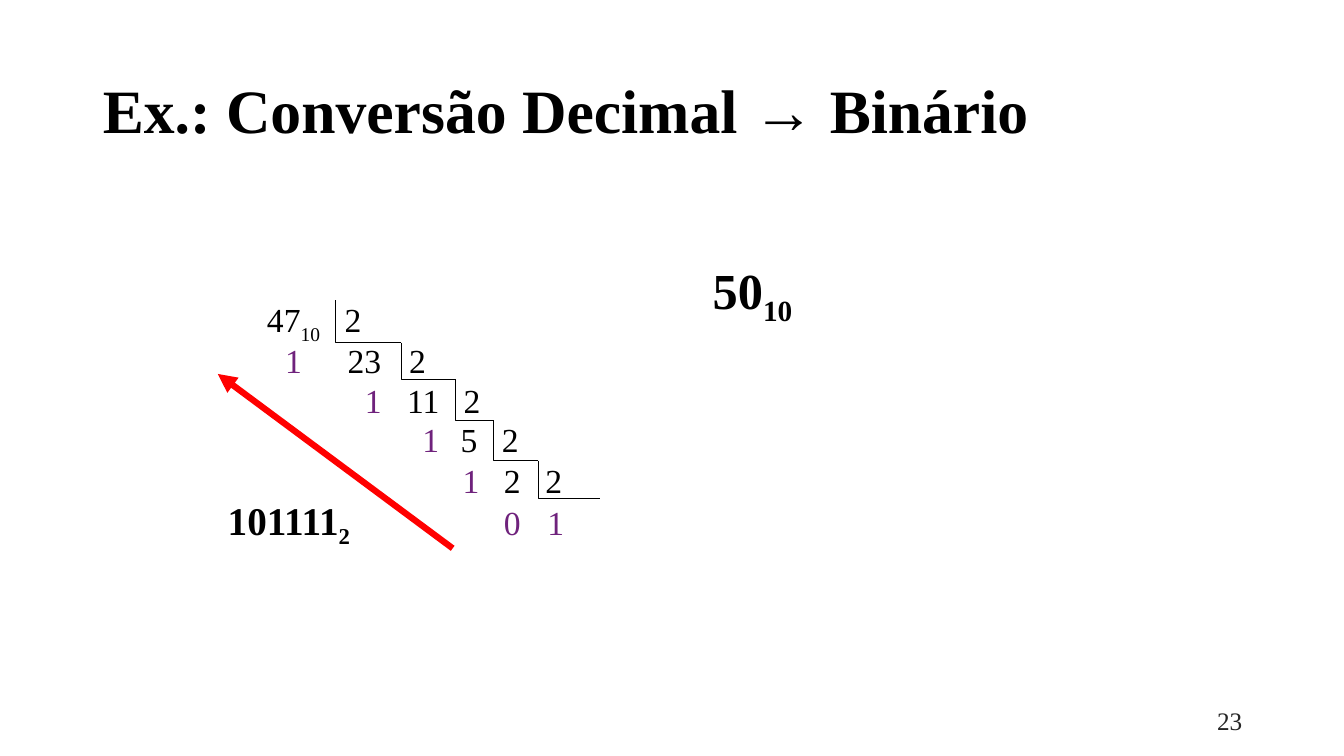
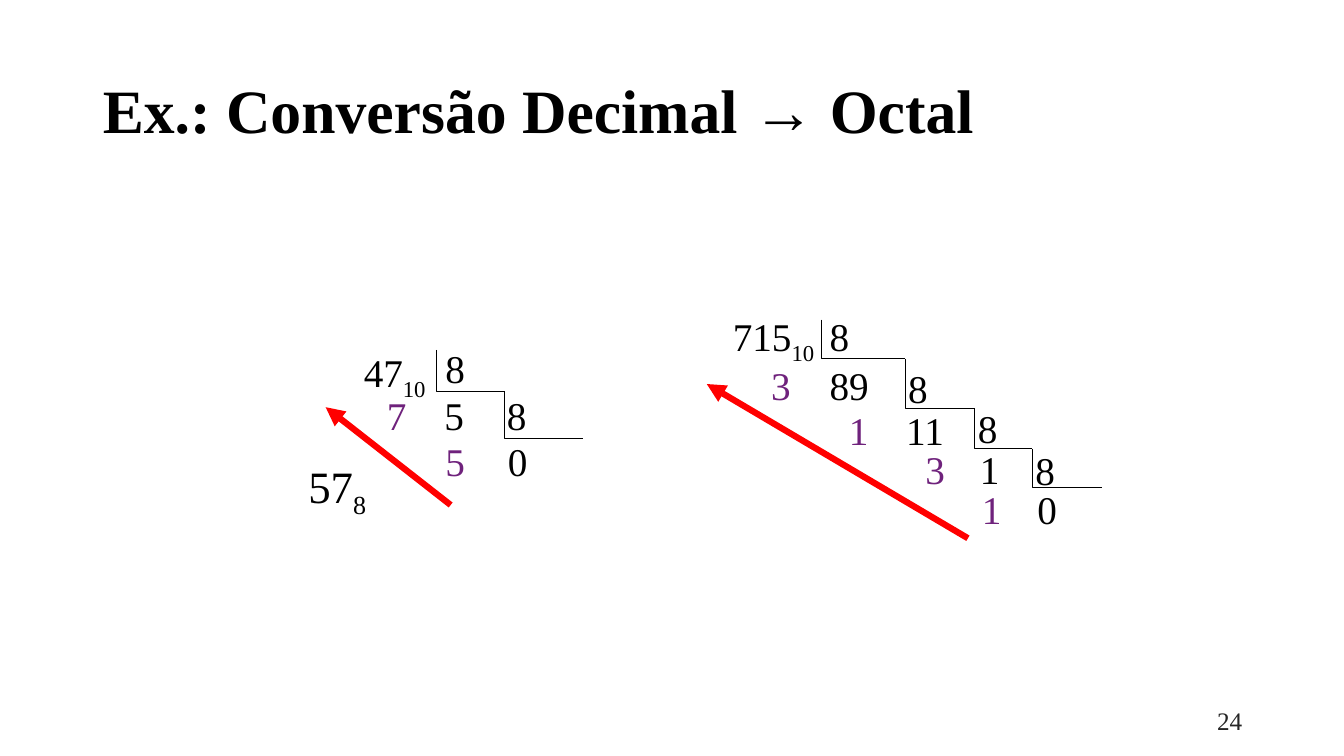
"""Build two slides of worked base conversions by repeated division."""
from dataclasses import dataclass

import lxml.etree
import pptx
import pptx.dml.color
import pptx.enum.shapes
import pptx.enum.text
import pptx.oxml
import pptx.oxml.ns
import pptx.util

PX = 9144
FONT = "Times New Roman"
BLACK, GREY, PURPLE, RED = "000000", "262626", "6F227C", "FF0000"
Point = tuple[int, int]


@dataclass(frozen=True)
class Label:
    x: int
    y: int
    text: str
    sub: str = ""
    color: str = BLACK
    w: int = 97


@dataclass(frozen=True)
class Result:
    label: Label
    size: int
    bold: bool = True
    wrap: bool = False


@dataclass(frozen=True)
class Division:
    size: int
    labels: list[Label]
    stairs: list[Point]
    arrow: tuple[Point, Point]


@dataclass(frozen=True)
class Page:
    number: str
    title: str
    divisions: list[Division]
    results: list[Result]


def remainder(x: int, y: int, text: str, w: int = 97) -> Label:
    return Label(x, y, text, color=PURPLE, w=w)


PAGES = [
    Page(
        "23",
        "Ex.: Conversão Decimal → Binário",
        [Division(
            24,
            [
                Label(255, 292, "47", "10"), Label(332, 292, "2"),
                remainder(273, 332, "1"), Label(335, 332, "23"), Label(396, 332, "2"),
                remainder(352, 372, "1"), Label(394, 372, "11"), Label(450, 372, "2"),
                remainder(409, 411, "1"), Label(447, 411, "5"), Label(488, 411, "2"),
                remainder(449, 451, "1"), Label(490, 451, "2"), Label(531, 451, "2"),
                remainder(490, 493, "0"), remainder(533, 493, "1"),
            ],
            [(333, 298), (398, 340), (452, 377), (489, 417), (534, 457), (595, 495)],
            ((449, 544), (216, 371)),
        )],
        [
            Result(Label(697, 252, "50", "10", w=136), 36, wrap=True),
            Result(Label(216, 487, "101111", "2", w=145), 28),
        ],
    ),
    Page(
        "24",
        "Ex.: Conversão Decimal → Octal",
        [
            Division(
                28,
                [
                    Label(351, 341, "47", "10"), Label(432, 337, "8"),
                    remainder(374, 383, "7"), Label(431, 383, "5"), Label(493, 383, "8"),
                    remainder(432, 429, "5"), Label(494, 429, "0"),
                ],
                [(433, 347), (500, 388), (578, 435)],
                ((447, 501), (323, 404)),
            ),
            Division(
                28,
                [
                    Label(717, 305, "715", "10", w=116), Label(813, 305, "8"),
                    remainder(755, 354, "3"), Label(813, 354, "89"), Label(891, 357, "8"),
                    remainder(832, 398, "1", 61), Label(889, 398, "11"), Label(960, 396, "8"),
                    remainder(908, 437, "3", 59), Label(962, 437, "1"), Label(1017, 438, "8"),
                    remainder(964, 477, "1", 59), Label(1019, 477, "0"),
                ],
                [(815, 317), (898, 356), (967, 405), (1024, 445), (1093, 484)],
                ((960, 534), (701, 381)),
            ),
        ],
        [Result(Label(296, 450, "57", "8", w=80), 32, bold=False)],
    ),
]


def rgb(code: str) -> pptx.dml.color.RGBColor:
    return pptx.dml.color.RGBColor.from_string(code)


def add_run(p, text: str, size: int, color: str, bold: bool = False, sub: bool = False) -> None:
    r = p.add_run()
    r.text = text
    r.font.name = FONT
    r.font.size = pptx.util.Pt(size)
    r.font.bold = bold
    r.font.color.rgb = rgb(color)
    if sub:
        r.font._element.set("baseline", "-25000")


def add_title(slide, text: str) -> None:
    sp = slide.shapes.title
    sp.left, sp.top, sp.width, sp.height = (v * PX for v in (92, 40, 1150, 145))
    tf = sp.text_frame
    tf.auto_size = pptx.enum.text.MSO_AUTO_SIZE.NONE
    tf.vertical_anchor = pptx.enum.text.MSO_ANCHOR.MIDDLE
    p = tf.paragraphs[0]
    p.alignment = pptx.enum.text.PP_ALIGN.LEFT
    p.line_spacing = 0.9
    add_run(p, text, 44, BLACK, bold=True)


def add_number(slide, text: str) -> None:
    sp = slide.shapes.add_textbox(*(v * PX for v in (942, 695, 300, 40)))
    tf = sp.text_frame
    tf.word_wrap = True
    tf.vertical_anchor = pptx.enum.text.MSO_ANCHOR.MIDDLE
    p = tf.paragraphs[0]
    p.alignment = pptx.enum.text.PP_ALIGN.RIGHT
    add_run(p, text, 18, GREY)


def add_label(slide, label: Label, size: int, bold: bool = False, wrap: bool = True) -> None:
    height = round(size * 120 / 72) + 10
    sp = slide.shapes.add_textbox(*(v * PX for v in (label.x, label.y, label.w, height)))
    tf = sp.text_frame
    tf.word_wrap = wrap
    tf.auto_size = pptx.enum.text.MSO_AUTO_SIZE.SHAPE_TO_FIT_TEXT
    p = tf.paragraphs[0]
    add_run(p, label.text, size, label.color, bold)
    if label.sub:
        add_run(p, label.sub, size, label.color, bold, sub=True)


def add_line(slide, kind, start: Point, end: Point, color: str, width: float):
    sp = slide.shapes.add_connector(kind, *(v * PX for v in (*start, *end)))
    sp.line.color.rgb = rgb(color)
    sp.line.width = pptx.util.Pt(width)
    lxml.etree.SubElement(sp._element.spPr, pptx.oxml.ns.qn("a:effectLst"))
    return sp


def add_corner(slide, start: Point, end: Point) -> None:
    sp = add_line(slide, pptx.enum.shapes.MSO_CONNECTOR.ELBOW, start, end, BLACK, 0.75)
    geom = sp._element.spPr.find(pptx.oxml.ns.qn("a:prstGeom"))
    guides = geom.find(pptx.oxml.ns.qn("a:avLst"))
    if guides is None:
        guides = lxml.etree.SubElement(geom, pptx.oxml.ns.qn("a:avLst"))
    lxml.etree.SubElement(guides, pptx.oxml.ns.qn("a:gd"), name="adj1", fmla="val 0")


def add_arrow(slide, start: Point, end: Point) -> None:
    sp = add_line(slide, pptx.enum.shapes.MSO_CONNECTOR.STRAIGHT, start, end, RED, 4.5)
    ln = sp._element.spPr.find(pptx.oxml.ns.qn("a:ln"))
    lxml.etree.SubElement(ln, pptx.oxml.ns.qn("a:tailEnd"), type="triangle")


def add_division(slide, division: Division) -> None:
    for label in division.labels:
        add_label(slide, label, division.size)
    for start, end in zip(division.stairs, division.stairs[1:]):
        add_corner(slide, start, end)
    add_arrow(slide, *division.arrow)


def add_page(prs, page: Page) -> None:
    slide = prs.slides.add_slide(prs.slide_layouts.get_by_name("Title Only"))
    add_title(slide, page.title)
    add_number(slide, page.number)
    for division in page.divisions:
        add_division(slide, division)
    for result in page.results:
        add_label(slide, result.label, result.size, result.bold, result.wrap)


def main() -> None:
    prs = pptx.Presentation()
    prs.slide_width, prs.slide_height = 1333 * PX, 750 * PX
    for page in PAGES:
        add_page(prs, page)
    prs.save("out.pptx")


if __name__ == "__main__":
    main()
